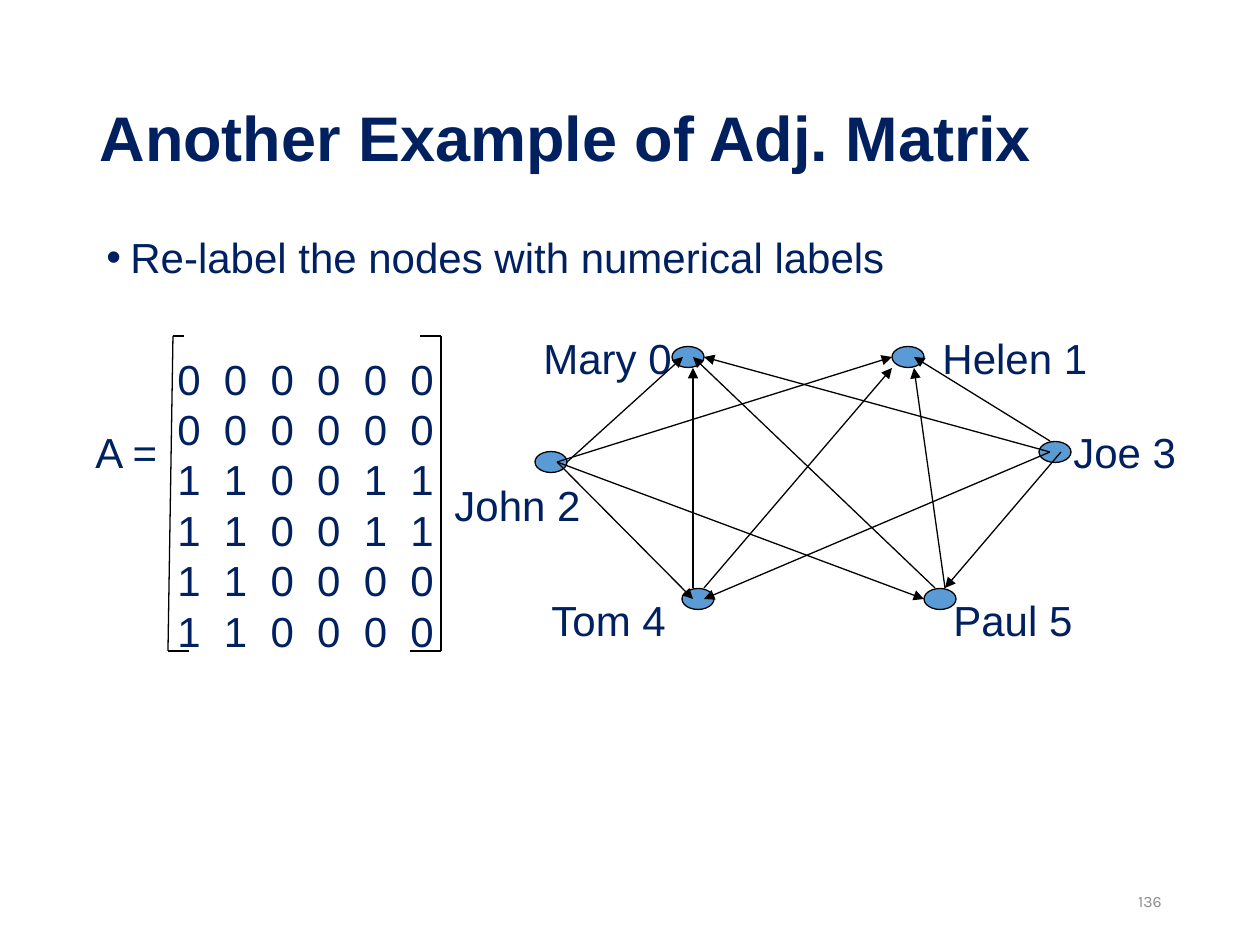
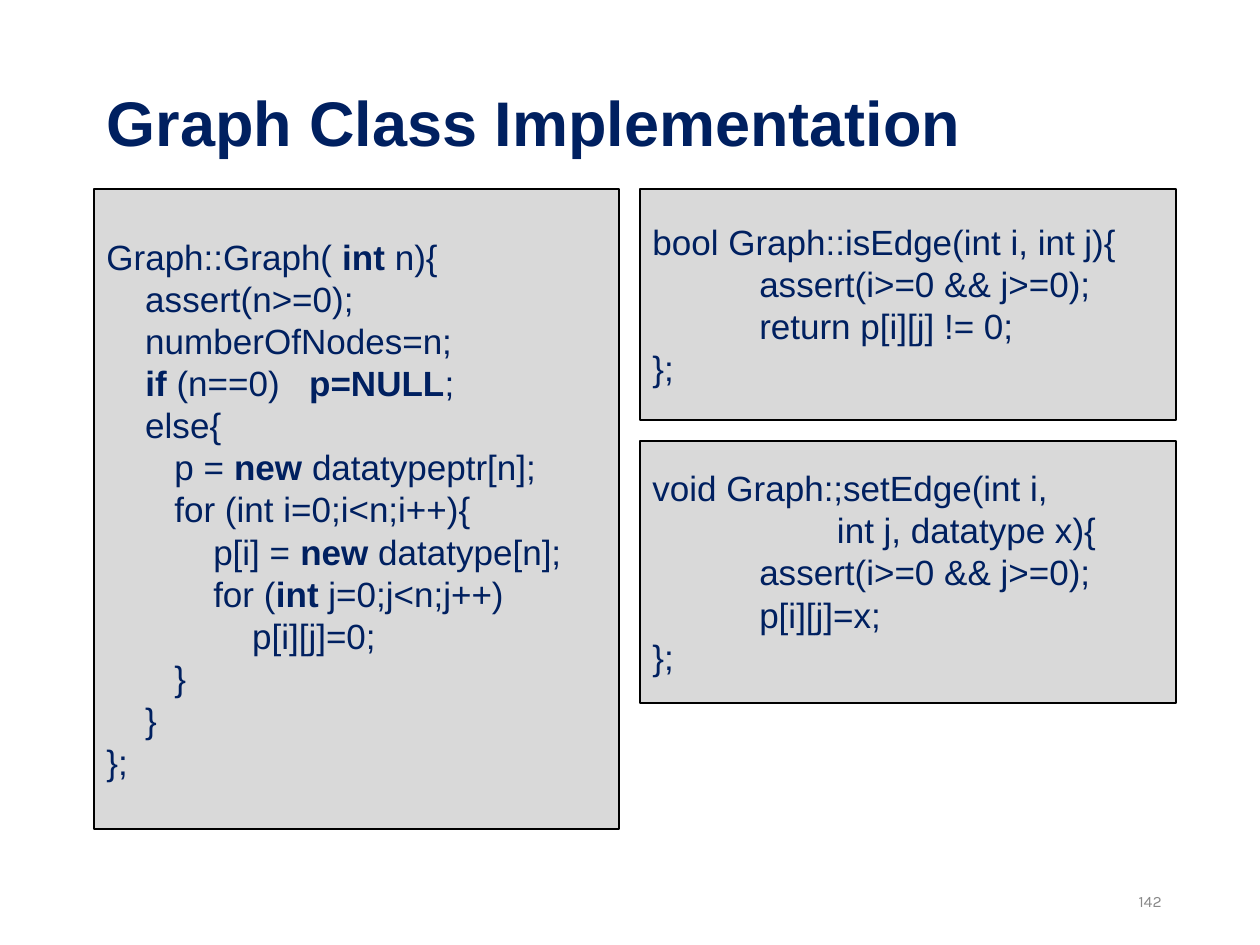
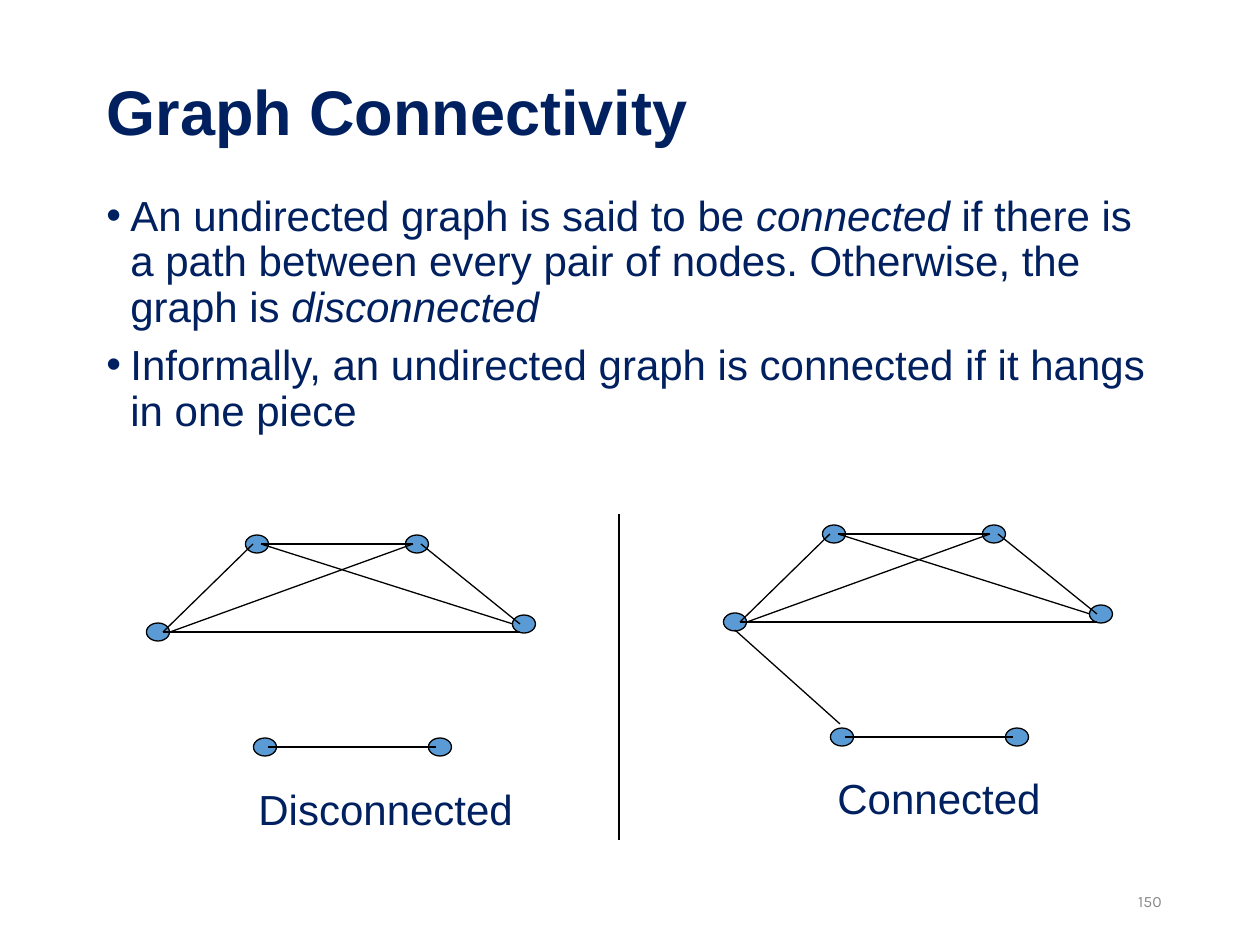
from itertools import pairwise

from lxml.etree import SubElement
from pptx import Presentation
from pptx.dml.color import RGBColor
from pptx.enum.shapes import MSO_CONNECTOR, MSO_SHAPE
from pptx.enum.text import MSO_ANCHOR, PP_ALIGN
from pptx.oxml.ns import qn
from pptx.util import Emu, Pt

PX = 914400 / 126
COLORS = {
    "navy": "002060",
    "node": "5B9BD5",
    "panel": "D9D9D9",
    "line": "000000",
    "number": "898989",
}
FONT = "Arial"
NUMBER_FONT = "Karla"
NUMBER_BOX = (890, 876, 284, 50)
LINE_WIDTH = 0.75
BULLET_INDENT = 24

MATRIX_SLIDE = {
    "title": "Another Example of Adj. Matrix",
    "title_box": (87, 50, 1087, 183),
    "number": "136",
    "bullets": ["Re-label the nodes with numerical labels"],
    "bullets_box": (94, 231, 1071, 567),
}
MATRIX = ["000000", "000000", "110011", "110011", "110000", "110000"]
MATRIX_BOX = (165, 347, 290, 315)
MATRIX_SPAN = 233
MATRIX_NAME = ("A =", (83, 420, 92, 63))
BRACKETS = [
    [(184, 336), (173, 336), (168, 651), (189, 651)],
    [(420, 336), (441, 336), (441, 651), (410, 651)],
]
PERSON_SIZE = (32, 21)
PEOPLE = [
    ("John 2", (551, 462), (442, 473, 155, 63)),
    ("Mary 0", (688, 357), (531, 326, 157, 63)),
    ("Tom 4", (698, 599), (539, 588, 147, 63)),
    ("Paul 5", (940, 599), (941, 588, 147, 63)),
    ("Joe 3", (1055, 452), (1061, 420, 136, 63)),
    ("Helen 1", (908, 357), (930, 326, 173, 63)),
]
ARROWS = [
    ((567, 462), (683, 357)),
    ((557, 462), (892, 357)),
    ((1050, 441), (914, 357)),
    ((1050, 452), (704, 357)),
    ((557, 462), (693, 599)),
    ((557, 462), (924, 599)),
    ((1050, 452), (704, 599)),
    ((1061, 452), (945, 588)),
    ((693, 588), (693, 368)),
    ((945, 588), (914, 368)),
    ((704, 588), (892, 368)),
    ((935, 588), (693, 357)),
]

CODE_SLIDE = {
    "title": "Graph Class Implementation",
    "title_box": (94, 84, 1071, 84),
    "number": "142",
}
CODE_PANELS = [
    ((94, 189, 525, 640), [
        "Graph::Graph( *int* n){",
        "    assert(n>=0);",
        "    numberOfNodes=n;",
        "    *if* (n==0)   *p=NULL*;",
        "    else{",
        "       p = *new* datatypeptr[n];",
        "       for (int i=0;i<n;i++){",
        "           p[i] = *new* datatype[n];",
        "           for (*int* j=0;j<n;j++)",
        "               p[i][j]=0;",
        "       }",
        "    }",
        "};",
    ]),
    ((640, 189, 536, 231), [
        "bool Graph::isEdge(int i, int j){",
        "           assert(i>=0 && j>=0);",
        "           return p[i][j] != 0;",
        "};",
    ]),
    ((640, 441, 536, 262), [
        "void Graph:;setEdge(int i,",
        "                   int j, datatype x){",
        "           assert(i>=0 && j>=0);",
        "           p[i][j]=x;",
        "};",
    ]),
]

CONNECTIVITY_SLIDE = {
    "title": "Graph Connectivity",
    "title_box": (94, 63, 1071, 105),
    "number": "150",
    "bullets": [
        "An undirected graph is said to be *connected* if there is a path between "
        "every pair of nodes. Otherwise, the graph is *disconnected*",
        "Informally, an undirected graph is connected if it hangs in one piece",
    ],
    "bullets_box": (94, 189, 1071, 651),
}
VERTEX_SIZE = (23, 18)
VERTICES = [(158, 632), (257, 544), (265, 747), (440, 747), (524, 624), (417, 544)]
EDGES = [
    ((261, 544), (413, 544)),
    ((163, 632), (520, 632)),
    ((163, 632), (253, 544)),
    ((421, 544), (520, 624)),
    ((268, 747), (436, 747)),
    ((170, 632), (413, 544)),
    ((261, 544), (513, 624)),
]
JOINING_EDGE = ((263, 734), (158, 640))
GRAPHS = [
    ((0, 0), EDGES, "Disconnected", (246, 777, 284, 63)),
    ((577, -10), EDGES + [JOINING_EDGE], "Connected", (825, 766, 232, 63)),
]
DIVIDER = ((619, 514), (619, 840))


def px(*lengths):
    return [Emu(round(length * PX)) for length in lengths]


def color(name):
    return RGBColor.from_string(COLORS[name])


def set_font(font, size, name=FONT, color_name="navy"):
    font.size = Pt(size)
    font.name = name
    font.color.rgb = color(color_name)


def write_lines(text_frame, lines, size, emphasis="bold"):
    text_frame.word_wrap = True
    for index, line in enumerate(lines):
        paragraph = text_frame.paragraphs[0] if index == 0 else text_frame.add_paragraph()
        paragraph.alignment = PP_ALIGN.LEFT
        for part_index, part in enumerate(line.split("*")):
            if part:
                run = paragraph.add_run()
                run.text = part
                set_font(run.font, size)
                if part_index % 2:
                    setattr(run.font, emphasis, True)


def add_text(slide, box, lines, size=24, emphasis="bold"):
    text_frame = slide.shapes.add_textbox(*px(*box)).text_frame
    write_lines(text_frame, lines, size, emphasis)
    return text_frame


def add_bullets(slide, box, lines):
    text_frame = add_text(slide, box, lines, emphasis="italic")
    indent = px(BULLET_INDENT)[0]
    for index, paragraph in enumerate(text_frame.paragraphs):
        paragraph.line_spacing = 0.9
        if index:
            paragraph.space_before = Pt(7.5)
        properties = paragraph._p.get_or_add_pPr()
        properties.set("marL", str(indent))
        properties.set("indent", str(-indent))
        SubElement(properties, qn("a:buFont"), typeface=FONT)
        SubElement(properties, qn("a:buChar"), char="•")


def add_matrix(slide):
    text_frame = add_text(slide, MATRIX_BOX, ["\t".join(row) for row in MATRIX])
    for paragraph in text_frame.paragraphs:
        tabs = SubElement(paragraph._p.get_or_add_pPr(), qn("a:tabLst"))
        gaps = len(MATRIX[0]) - 1
        for column in range(1, gaps + 1):
            position = px(MATRIX_SPAN * column / gaps)[0]
            SubElement(tabs, qn("a:tab"), pos=str(position), algn="l")


def add_shape(slide, kind, box, fill):
    shape = slide.shapes.add_shape(kind, *px(*box))
    shape.shadow.inherit = False
    shape.fill.solid()
    shape.fill.fore_color.rgb = color(fill)
    shape.line.color.rgb = color("line")
    shape.line.width = Pt(LINE_WIDTH)
    return shape


def add_node(slide, center, size):
    (x, y), (width, height) = center, size
    add_shape(slide, MSO_SHAPE.OVAL, (x - width / 2, y - height / 2, width, height), "node")


def add_line(slide, start, end, arrow=False):
    connector = slide.shapes.add_connector(MSO_CONNECTOR.STRAIGHT, *px(*start, *end))
    connector.line.color.rgb = color("line")
    connector.line.width = Pt(LINE_WIDTH)
    if arrow:
        SubElement(connector.line._get_or_add_ln(), qn("a:tailEnd"), type="triangle")
    SubElement(connector._element.spPr, qn("a:effectLst"))


def add_slide(presentation, content):
    slide = presentation.slides.add_slide(presentation.slide_layouts[5])
    title = slide.shapes.title
    title.left, title.top, title.width, title.height = px(*content["title_box"])
    title.text_frame.text = content["title"]
    title.text_frame.vertical_anchor = MSO_ANCHOR.MIDDLE
    paragraph = title.text_frame.paragraphs[0]
    paragraph.alignment = PP_ALIGN.LEFT
    paragraph.line_spacing = 0.9
    set_font(paragraph.runs[0].font, 36)
    paragraph.runs[0].font.bold = True

    number = add_text(slide, NUMBER_BOX, [content["number"]], 9)
    number.vertical_anchor = MSO_ANCHOR.MIDDLE
    number.paragraphs[0].alignment = PP_ALIGN.RIGHT
    set_font(number.paragraphs[0].runs[0].font, 9, NUMBER_FONT, "number")

    if "bullets" in content:
        add_bullets(slide, content["bullets_box"], content["bullets"])
    return slide


def build_matrix_slide(presentation):
    slide = add_slide(presentation, MATRIX_SLIDE)
    for name, center, label_box in PEOPLE:
        add_node(slide, center, PERSON_SIZE)
        add_text(slide, label_box, [name])
    for start, end in ARROWS:
        add_line(slide, start, end, arrow=True)
    add_matrix(slide)
    for bracket in BRACKETS:
        for start, end in pairwise(bracket):
            add_line(slide, start, end)
    name, box = MATRIX_NAME
    add_text(slide, box, [name])


def build_code_slide(presentation):
    slide = add_slide(presentation, CODE_SLIDE)
    for box, lines in CODE_PANELS:
        panel = add_shape(slide, MSO_SHAPE.RECTANGLE, box, "panel")
        panel.text_frame.vertical_anchor = MSO_ANCHOR.MIDDLE
        write_lines(panel.text_frame, lines, 20)


def build_connectivity_slide(presentation):
    slide = add_slide(presentation, CONNECTIVITY_SLIDE)
    for (shift_x, shift_y), edges, label, label_box in GRAPHS:
        for x, y in VERTICES:
            add_node(slide, (x + shift_x, y + shift_y), VERTEX_SIZE)
        for edge in edges:
            add_line(slide, *[(x + shift_x, y + shift_y) for x, y in edge])
        add_text(slide, label_box, [label])
    add_line(slide, *DIVIDER)


def main():
    presentation = Presentation()
    presentation.slide_width, presentation.slide_height = px(1260, 945)
    build_matrix_slide(presentation)
    build_code_slide(presentation)
    build_connectivity_slide(presentation)
    presentation.save("out.pptx")


if __name__ == "__main__":
    main()
